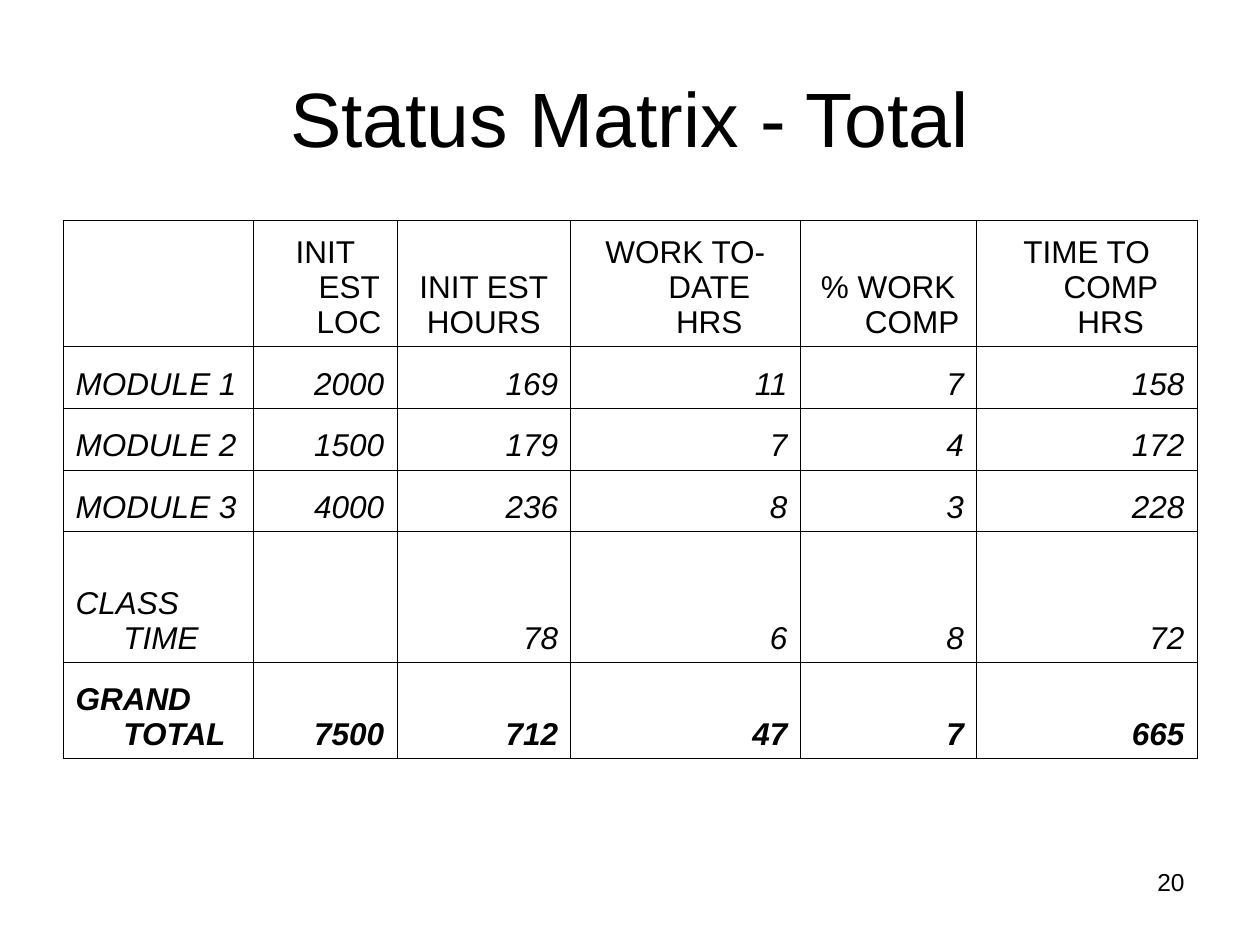
import pptx
import pptx.dml.color
import pptx.enum.text
import pptx.oxml.ns
import pptx.util
from lxml import etree

Inches = pptx.util.Inches
Pt = pptx.util.Pt
ALIGN = pptx.enum.text.PP_ALIGN
ANCHOR = pptx.enum.text.MSO_ANCHOR
BLACK = pptx.dml.color.RGBColor(0, 0, 0)

HEADERS = ["", "INIT EST LOC", "INIT EST\nHOURS", "WORK TO-DATE HRS",
           "% WORK COMP", "TIME TO COMP HRS"]
STATUS = [
    ["MODULE 1", "2000", "169", "11", "7", "158"],
    ["MODULE 2", "1500", "179", "7", "4", "172"],
    ["MODULE 3", "4000", "236", "8", "3", "228"],
    ["CLASS TIME", "", "78", "6", "8", "72"],
    ["GRAND TOTAL", "7500", "712", "47", "7", "665"],
]
COLUMN_WIDTHS = [1.51, 1.14, 1.38, 1.82, 1.4, 1.75]
ROW_HEIGHTS = [1, 0.49, 0.49, 0.49, 1.04, 0.76]


class SlideBuilder:
    font = "Arial"
    color = BLACK
    cell_size = 18
    hanging = 0.38
    border_width = 0.45

    def __init__(self, slide):
        self.slide = slide

    def format_text(self, frame, size, align, bold=False, italic=False):
        for para in frame.paragraphs:
            para.alignment = align
            for span in para.runs:
                span.font.name = self.font
                span.font.size = Pt(size)
                span.font.color.rgb = self.color
                span.font.bold = bold
                span.font.italic = italic

    def text(self, left, top, width, height, words, size, align, anchor):
        box = self.slide.shapes.add_textbox(
            Inches(left), Inches(top), Inches(width), Inches(height))
        frame = box.text_frame
        frame.word_wrap = True
        frame.vertical_anchor = anchor
        frame.text = words
        self.format_text(frame, size, align)

    def border(self, cell):
        properties = cell._tc.get_or_add_tcPr()
        qn = pptx.oxml.ns.qn
        for side in ("a:lnL", "a:lnR", "a:lnT", "a:lnB"):
            line = etree.SubElement(properties, qn(side), w=str(Pt(self.border_width)))
            fill = etree.SubElement(line, qn("a:solidFill"))
            etree.SubElement(fill, qn("a:srgbClr"), val=str(self.color))

    def cell(self, cell, words, align, bold, italic):
        self.border(cell)
        cell.fill.background()
        cell.vertical_anchor = ANCHOR.BOTTOM
        cell.text_frame.text = words
        self.format_text(cell.text_frame, self.cell_size, align, bold, italic)
        # Wrapped lines hang to the right of the first one
        for para in cell.text_frame.paragraphs:
            properties = para._p.get_or_add_pPr()
            properties.set("marL", str(Inches(self.hanging)))
            properties.set("indent", str(-Inches(self.hanging)))

    def table(self, left, top, widths, heights, rows):
        table = self.slide.shapes.add_table(
            len(rows), len(widths), Inches(left), Inches(top),
            Inches(sum(widths)), Inches(sum(heights))).table
        table.first_row = False
        table.horz_banding = False
        for column, width in zip(table.columns, widths):
            column.width = Inches(width)
        for row, height in zip(table.rows, heights):
            row.height = Inches(height)
        last = len(rows) - 1
        for r, row in enumerate(rows):
            for c, words in enumerate(row):
                if r == 0:
                    align = ALIGN.CENTER
                else:
                    align = ALIGN.LEFT if c == 0 else ALIGN.RIGHT
                self.cell(table.cell(r, c), words, align, bold=r == last, italic=r > 0)


def main():
    deck = pptx.Presentation()
    deck.slide_width = Inches(10)
    deck.slide_height = Inches(7.5)
    page = SlideBuilder(deck.slides.add_slide(deck.slide_layouts[6]))

    # Title
    page.text(0.5, 0.3, 9, 1.25, "Status Matrix - Total", 44, ALIGN.CENTER, ANCHOR.MIDDLE)

    # Status table
    page.table(0.5, 1.75, COLUMN_WIDTHS, ROW_HEIGHTS, [HEADERS] + STATUS)

    # Page number
    page.text(7.17, 6.83, 2.33, 0.52, "20", 14, ALIGN.RIGHT, ANCHOR.TOP)

    deck.save("out.pptx")


if __name__ == "__main__":
    main()
